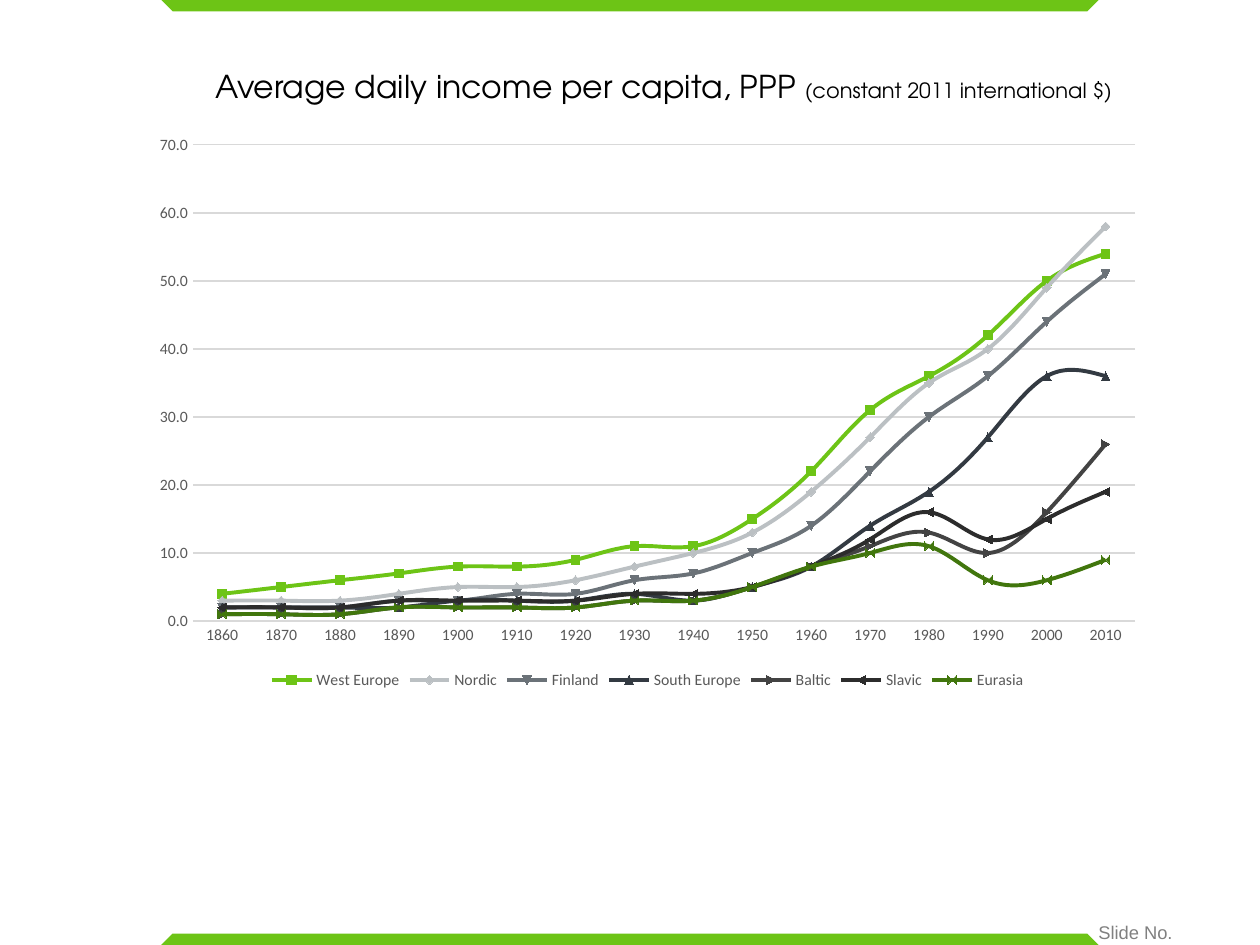
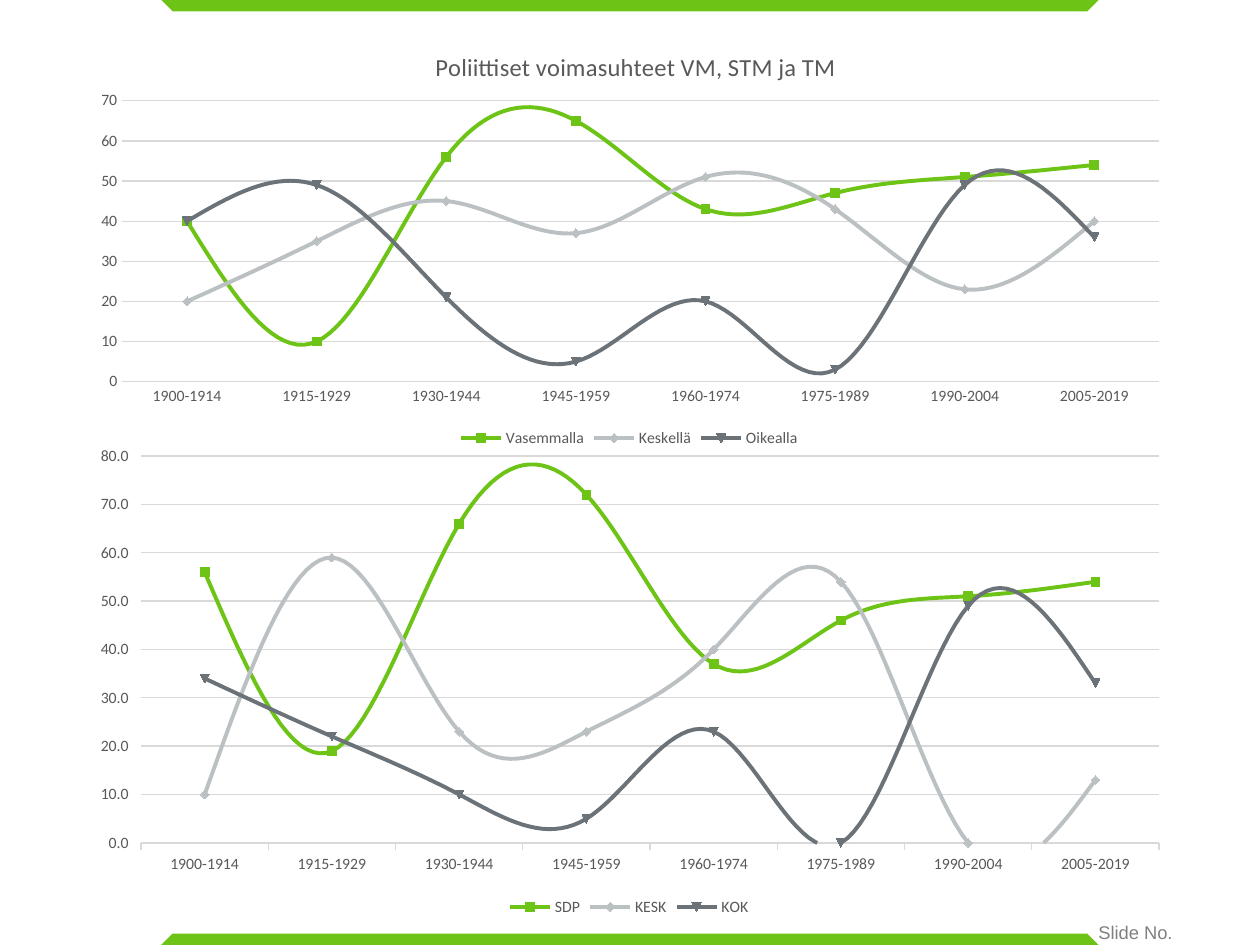
from lxml import etree
from pptx import Presentation
from pptx.chart.data import CategoryChartData
from pptx.dml.color import RGBColor
from pptx.enum.chart import XL_CHART_TYPE, XL_LEGEND_POSITION, XL_TICK_MARK
from pptx.enum.shapes import MSO_SHAPE
from pptx.util import Inches, Pt

LINE_CHART = XL_CHART_TYPE.LINE
LEGEND_BOTTOM = XL_LEGEND_POSITION.BOTTOM
TICK_NONE = XL_TICK_MARK.NONE
TICK_OUT = XL_TICK_MARK.OUTSIDE
TRAPEZOID = MSO_SHAPE.TRAPEZOID

GREEN = RGBColor(0x6D, 0xC4, 0x16)
BLACK = RGBColor(0, 0, 0)
PAGE_GREY = RGBColor(0x80, 0x80, 0x80)
LABEL_GREY = RGBColor(0x59, 0x59, 0x59)
GRID_GREY = RGBColor(0xD9, 0xD9, 0xD9)
SERIES_COLOURS = [
    GREEN,
    RGBColor(0xBB, 0xC0, 0xC3),
    RGBColor(0x6B, 0x72, 0x78),
    RGBColor(0x33, 0x3A, 0x42),
    RGBColor(0x43, 0x43, 0x43),
    RGBColor(0x2C, 0x2C, 0x2C),
    RGBColor(0x41, 0x76, 0x0D),
]

TITLE_FONT = "TeX Gyre Adventor"
PAGE_FONT = "Arial"
CHART_FONT = "Calibri"
CHART_NS = "http://schemas.openxmlformats.org/drawingml/2006/chart"

DECADES = [str(year) for year in range(1860, 2011, 10)]
PERIODS = [f"{year}-{year + 14}" for year in range(1900, 2006, 15)]
# The first period has one year fewer than the fifteen-year grid suggests
PERIODS = ["1900-1914"] + [f"{year}-{year + 14}" for year in range(1915, 2006, 15)]

INCOME = {
    "West Europe": [4, 5, 6, 7, 8, 8, 9, 11, 11, 15, 22, 31, 36, 42, 50, 54],
    "Nordic": [3, 3, 3, 4, 5, 5, 6, 8, 10, 13, 19, 27, 35, 40, 49, 58],
    "Finland": [2, 2, 2, 3, 3, 4, 4, 6, 7, 10, 14, 22, 30, 36, 44, 51],
    "South Europe": [2, 2, 2, 2, 3, 3, 3, 4, 3, 5, 8, 14, 19, 27, 36, 36],
    "Baltic": [1, 1, 1, 2, 2, 2, 2, 3, 3, 5, 8, 11, 13, 10, 16, 26],
    "Slavic": [2, 2, 2, 3, 3, 3, 3, 4, 4, 5, 8, 12, 16, 12, 15, 19],
    "Eurasia": [1, 1, 1, 2, 2, 2, 2, 3, 3, 5, 8, 10, 11, 6, 6, 9],
}
BLOCS = {
    "Vasemmalla": [40, 10, 56, 65, 43, 47, 51, 54],
    "Keskellä": [20, 35, 45, 37, 51, 43, 23, 40],
    "Oikealla": [40, 49, 21, 5, 20, 3, 49, 36],
}
PARTIES = {
    "SDP": [56, 19, 66, 72, 37, 46, 51, 54],
    "KESK": [10, 59, 23, 23, 40, 54, 0, 13],
    "KOK": [34, 22, 10, 5, 23, 0, 49, 33],
}


def style_font(font, *, size, colour=LABEL_GREY, name=CHART_FONT, bold=False):
    font.size = Pt(size)
    font.name = name
    font.bold = bold
    font.color.rgb = colour


def add_span(para, text, **style):
    span = para.add_run()
    span.text = text
    style_font(span.font, **style)


def add_text(page, box, spans, **style):
    """Add one paragraph; each span is (text, size)."""
    frame = page.shapes.add_textbox(*map(Inches, box)).text_frame
    frame.word_wrap = True
    for text, size in spans:
        add_span(frame.paragraphs[0], text, size=size, **style)


def add_band(page, top, rotation):
    band = page.shapes.add_shape(
        TRAPEZOID, Inches(1.28), Inches(top), Inches(7.44), Inches(0.09))
    band.adjustments[0] = 1.0
    band.rotation = rotation
    band.shadow.inherit = False
    band.fill.solid()
    band.fill.fore_color.rgb = GREEN
    band.line.fill.background()


def add_page(deck):
    """Blank page with the green bands and the page label."""
    page = deck.slides.add_slide(deck.slide_layouts[6])
    add_band(page, 0, 180)
    add_band(page, 7.41, 0)
    add_text(page, (8.62, 7.26, 1.16, 0.28), [("Slide No.", 10.5)],
             name=PAGE_FONT, colour=PAGE_GREY)
    return page


def make_layout(inner=False, **fractions):
    """Manual chart layout; the fractions are of the chart's size."""
    layout = etree.Element(f"{{{CHART_NS}}}layout")
    manual = etree.SubElement(layout, f"{{{CHART_NS}}}manualLayout")
    settings = {"layoutTarget": "inner"} if inner else {}
    settings.update(xMode="edge", yMode="edge", **fractions)
    for tag, value in settings.items():
        etree.SubElement(manual, f"{{{CHART_NS}}}{tag}").set("val", str(value))
    return layout


def place_plot(chart, box, plot_box):
    """Fix the inner plot area, given as left, top, right, bottom in the box."""
    _, _, width, height = box
    left, top, right, bottom = plot_box
    plot_area = chart.plots[0]._element.getparent()
    for old in plot_area.findall(f"{{{CHART_NS}}}layout"):
        plot_area.remove(old)
    plot_area.insert(0, make_layout(
        inner=True, x=round(left / width, 4), y=round(top / height, 4),
        w=round((right - left) / width, 4), h=round((bottom - top) / height, 4)))


def add_chart_title(chart, text):
    chart.has_title = True
    title = chart.chart_title
    add_span(title.text_frame.paragraphs[0], text, size=14)
    title.include_in_layout = False
    element = title._element
    for old in element.findall(f"{{{CHART_NS}}}layout"):
        element.remove(old)
    element.find(f"{{{CHART_NS}}}tx").addnext(make_layout(x=0.32, y=0.05))


def style_axes(chart, top_value, number_format, tick):
    for axis in (chart.category_axis, chart.value_axis):
        axis.major_tick_mark = tick
        axis.minor_tick_mark = TICK_NONE
        style_font(axis.tick_labels.font, size=9)
    chart.category_axis.format.line.color.rgb = GRID_GREY
    chart.category_axis.format.line.width = Pt(0.75)
    values = chart.value_axis
    values.minimum_scale, values.maximum_scale = 0, top_value
    values.major_unit = 10
    values.format.line.fill.background()
    values.has_major_gridlines = True
    values.major_gridlines.format.line.color.rgb = GRID_GREY
    values.major_gridlines.format.line.width = Pt(0.75)
    values.tick_labels.number_format = number_format
    values.tick_labels.number_format_is_linked = False


def add_line_chart(page, box, plot_box, categories, series, *, top_value,
                   number_format="0.0", tick=TICK_NONE, title=None):
    data = CategoryChartData(number_format="0.0")
    data.categories = categories
    for name, values in series.items():
        data.add_series(name, values)
    chart = page.shapes.add_chart(LINE_CHART, *map(Inches, box), data).chart
    style_font(chart.font, size=10, colour=BLACK)
    chart.has_title = False
    if title:
        add_chart_title(chart, title)

    # Smooth lines in the theme's colour order
    chart.plots[0].vary_by_categories = False
    for line, colour in zip(chart.plots[0].series, SERIES_COLOURS):
        line.smooth = True
        line.format.line.color.rgb = colour
        line.format.line.width = Pt(2.25)
        line.marker.style = None
    style_axes(chart, top_value, number_format, tick)

    # Legend
    chart.has_legend = True
    chart.legend.position = LEGEND_BOTTOM
    chart.legend.include_in_layout = False
    style_font(chart.legend.font, size=9)
    place_plot(chart, box, plot_box)


def build_income_page(deck):
    page = add_page(deck)
    add_text(page, (1.61, 0.48, 7.35, 0.4),
             [("Average daily income per capita, PPP ", 18),
              ("(constant 2011 international $)", 12)],
             name=TITLE_FONT, colour=BLACK)
    add_line_chart(page, (1.11, 0.99, 8.06, 4.52), (0.42, 0.16, 7.9, 3.94),
                   DECADES, INCOME, top_value=70)


def build_politics_page(deck):
    page = add_page(deck)
    add_line_chart(page, (0.62, 0.19, 8.75, 3.4), (0.35, 0.61, 8.58, 2.84),
                   PERIODS, BLOCS, top_value=70, number_format="0",
                   title="Poliittiset voimasuhteet VM, STM ja TM")
    add_line_chart(page, (0.62, 3.47, 8.75, 3.84), (0.5, 0.15, 8.58, 3.22),
                   PERIODS, PARTIES, top_value=80, tick=TICK_OUT)


def main():
    deck = Presentation()
    deck.slide_width, deck.slide_height = Inches(10), Inches(7.5)
    build_income_page(deck)
    build_politics_page(deck)
    deck.save("out.pptx")


if __name__ == "__main__":
    main()
